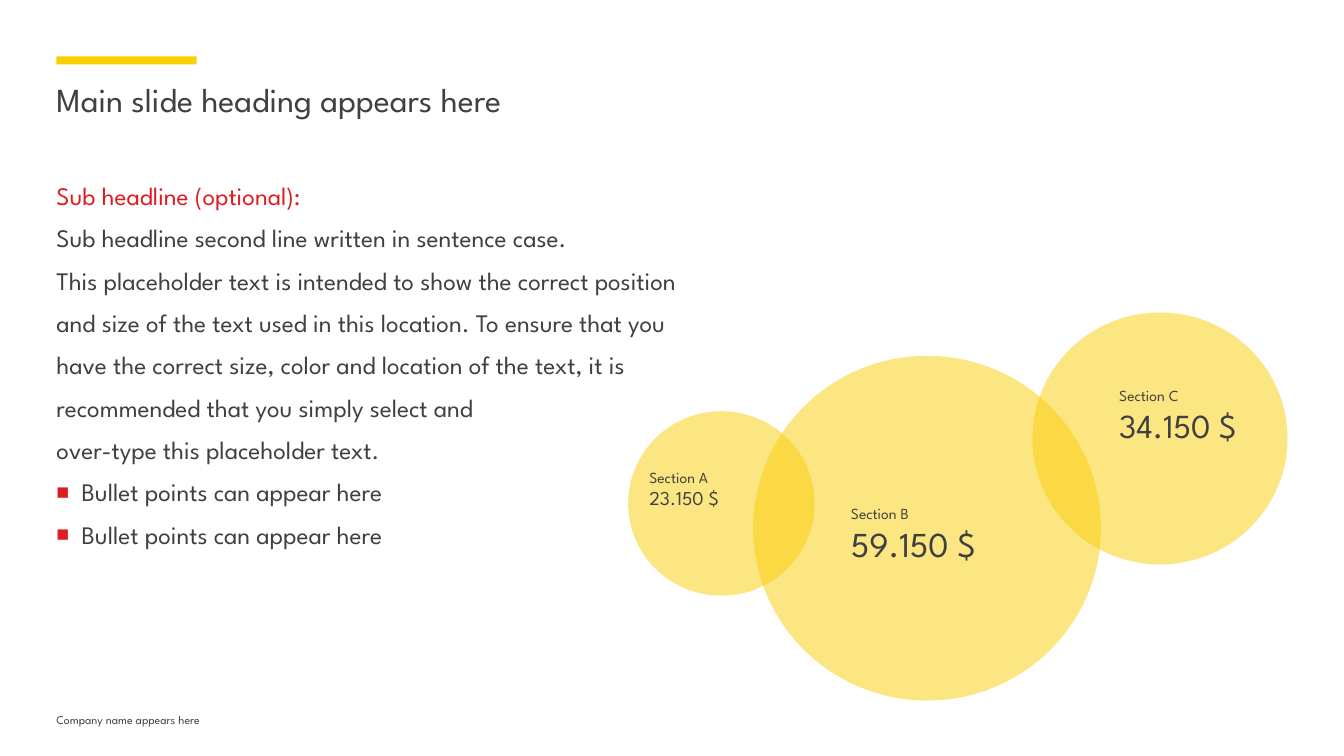
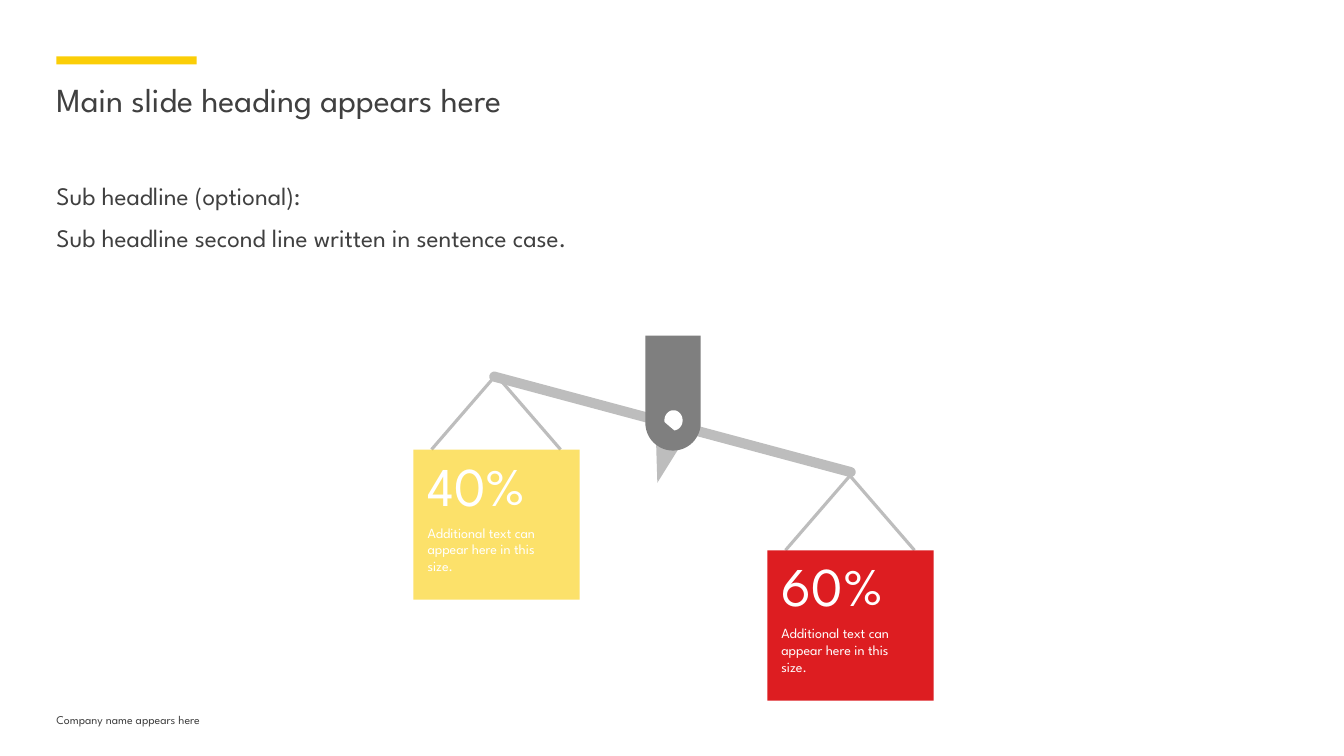
import math

import pptx
import pptx.dml.color
import pptx.enum.shapes
import pptx.enum.text
import pptx.oxml
import pptx.oxml.ns
import pptx.util

Inches = pptx.util.Inches
Pt = pptx.util.Pt
Kind = pptx.enum.shapes.MSO_SHAPE
NS = pptx.oxml.ns.nsdecls("a")

HUES = {
    "gold": "FBCE07", "red": "DD1D21", "dark": "404040",
    "steel": "7F7F7F", "light": "BDBDBD", "white": "FFFFFF",
}
FACE = "League Spartan"
LEFT, WIDE = 0.56, 12.22


def hue(name):
    return pptx.dml.color.RGBColor.from_string(HUES[name])


class Deck:
    """Holds the style and the current slide."""

    def __init__(self):
        self.prs = pptx.Presentation()
        self.prs.slide_width = Inches(13.33)
        self.prs.slide_height = Inches(7.5)
        self.slide = None

    def page(self, title):
        """Start a slide with its bar, footer and title."""
        self.slide = self.prs.slides.add_slide(self.prs.slide_layouts[5])
        self.shape(Kind.RECTANGLE, LEFT, 0.56, 1.39, 0.08, "gold")
        self.text(LEFT, 7.07, 3.67, 0.26,
                  [dict(text="Company name appears here", size=8.5)])
        head = self.slide.shapes.title
        head.left, head.top = Inches(LEFT), Inches(0.78)
        head.width, head.height = Inches(WIDE), Inches(0.82)
        self.fill_text(head.text_frame, [dict(text=title, size=24)])

    def paint(self, shape, color, alpha=100):
        """Give a shape a flat fill with no line or shadow."""
        shape.shadow.inherit = False
        shape.line.fill.background()
        shape.fill.solid()
        shape.fill.fore_color.rgb = hue(color)
        if alpha < 100:
            tone = shape.fill._xPr.find(".//" + pptx.oxml.ns.qn("a:srgbClr"))
            tone.append(pptx.oxml.parse_xml(
                f'<a:alpha {NS} val="{alpha * 1000}"/>'))

    def shape(self, kind, x, y, w, h, color, alpha=100, turn=0, bends=()):
        item = self.slide.shapes.add_shape(
            kind, Inches(x), Inches(y), Inches(w), Inches(h))
        item.rotation = turn
        for i, bend in enumerate(bends):
            item.adjustments[i] = bend
        self.paint(item, color, alpha)

    def outline(self, points, close=True):
        """Build a shape from straight steps between points."""
        spots = [(Inches(x), Inches(y)) for x, y in points]
        pen = self.slide.shapes.build_freeform(*spots[0])
        pen.add_line_segments(spots[1:], close=close)
        return pen.convert_to_shape()

    def patch(self, points, color):
        self.paint(self.outline(points), color)

    def cord(self, points):
        item = self.outline(points, close=False)
        item.shadow.inherit = False
        item.fill.background()
        item.line.color.rgb = hue("light")
        item.line.width = Pt(2.25)

    def text(self, x, y, w, h, lines):
        box = self.slide.shapes.add_textbox(
            Inches(x), Inches(y), Inches(w), Inches(h))
        self.fill_text(box.text_frame, lines)

    def fill_text(self, frame, lines):
        """Write one paragraph for each dict of format values."""
        setup = dict(
            word_wrap=True, auto_size=pptx.enum.text.MSO_AUTO_SIZE.NONE,
            vertical_anchor=pptx.enum.text.MSO_ANCHOR.TOP,
            margin_left=0, margin_top=0, margin_right=0, margin_bottom=0)
        for key, value in setup.items():
            setattr(frame, key, value)
        for i, line in enumerate(lines):
            para = frame.add_paragraph() if i else frame.paragraphs[0]
            para.text = line["text"]
            layout = dict(alignment=pptx.enum.text.PP_ALIGN.LEFT,
                          line_spacing=line.get("pitch"),
                          space_before=line.get("gap"))
            for key, value in layout.items():
                if value is not None:
                    setattr(para, key, value)
            if line.get("bullet"):
                self.bullet(para)
            for run in para.runs:
                style = dict(name=FACE, size=Pt(line["size"]))
                for key, value in style.items():
                    setattr(run.font, key, value)
                run.font.color.rgb = hue(line.get("color", "dark"))

    def bullet(self, para):
        """Add a red square with a hanging indent."""
        props = para._p.get_or_add_pPr()
        props.set("marL", str(Inches(0.25)))
        props.set("indent", str(-Inches(0.25)))
        for part in (f'<a:buClr {NS}><a:srgbClr val="{HUES["red"]}"/></a:buClr>',
                     f'<a:buSzPct {NS} val="85000"/>',
                     f'<a:buFont {NS} typeface="Arial"/>',
                     f'<a:buChar {NS} char="■"/>'):
            props.append(pptx.oxml.parse_xml(part))

    def body(self, lines):
        """Write the main text below the title."""
        base = dict(size=18, pitch=1.4)
        self.text(LEFT, 1.67, WIDE, 5.28, [{**base, **line} for line in lines])

    def pan(self, x, y, value, color, alpha=100):
        """Draw one hanging pan of the scale with its label."""
        mid = x + 0.82
        self.cord([(mid + 0.64, y), (mid, y - 0.74), (mid - 0.64, y)])
        self.shape(Kind.RECTANGLE, x, y, 1.65, 1.49, color, alpha)
        note = "Additional text can appear here in this size."
        self.text(x + 0.14, y + 0.02, 1.32, 1.25, [
            dict(text=value, size=39, color="white"),
            dict(text=note, size=10, color="white", gap=Pt(5))])


HEAD = "Main slide heading appears here"
SUB = "Sub headline (optional):"
NEXT = "Sub headline second line written in sentence case."
COPY = "\v".join([
    "This placeholder text is intended to show the correct position",
    "and size of the text used in this location. To ensure that you",
    "have the correct size, color and location of the text, it is",
    "recommended that you simply select and",
    "over-type this placeholder text."])


def bubbles(deck):
    deck.page(HEAD)
    point = dict(text="Bullet points can appear here", bullet=True)
    deck.body([dict(text=SUB, color="red"), dict(text=NEXT),
               dict(text=COPY), point, point])
    # Overlapping circles
    for x, y, w, h in ((10.24, 3.1, 2.53, 2.5), (6.23, 4.08, 1.85, 1.83),
                       (7.47, 3.53, 3.45, 3.42)):
        deck.shape(Kind.OVAL, x, y, w, h, "gold", 50)
    # Labels
    for x, y, w, h, name, value, size in (
            (6.44, 4.64, 1.13, 0.42, "Section A", "23.150 $", 14),
            (8.44, 5, 1.93, 0.61, "Section B", "59.150 $", 25),
            (11.1, 3.83, 1.41, 0.59, "Section C", "34.150 $", 24)):
        deck.text(x, y, w, h, [dict(text=name, size=11),
                               dict(text=value, size=size)])


def scale(deck):
    deck.page(HEAD)
    deck.body([dict(text=SUB), dict(text=NEXT)])
    # Beam and needle
    deck.shape(Kind.ROUNDED_RECTANGLE, 4.79, 4.16, 3.76, 0.1, "light",
               turn=15, bends=[0.5])
    deck.patch([(6.85, 4.26), (6.5, 4.16), (6.52, 4.79)], "light")
    # Bracket, round end down, and the cut pivot
    deck.shape(Kind.ROUND_2_SAME_RECTANGLE, 6.4, 3.33, 0.55, 1.14, "steel",
               turn=180, bends=[0.5, 0])
    turns = [math.radians(a) for a in range(85, -191, -5)]
    deck.patch([(6.68 + 0.09 * math.cos(a), 4.17 + 0.1 * math.sin(a))
                for a in turns], "white")
    # Pans
    deck.pan(4.1, 4.46, "40%", "gold", 60)
    deck.pan(7.61, 5.46, "60%", "red")


def main():
    deck = Deck()
    bubbles(deck)
    scale(deck)
    deck.prs.save("out.pptx")


if __name__ == "__main__":
    main()
